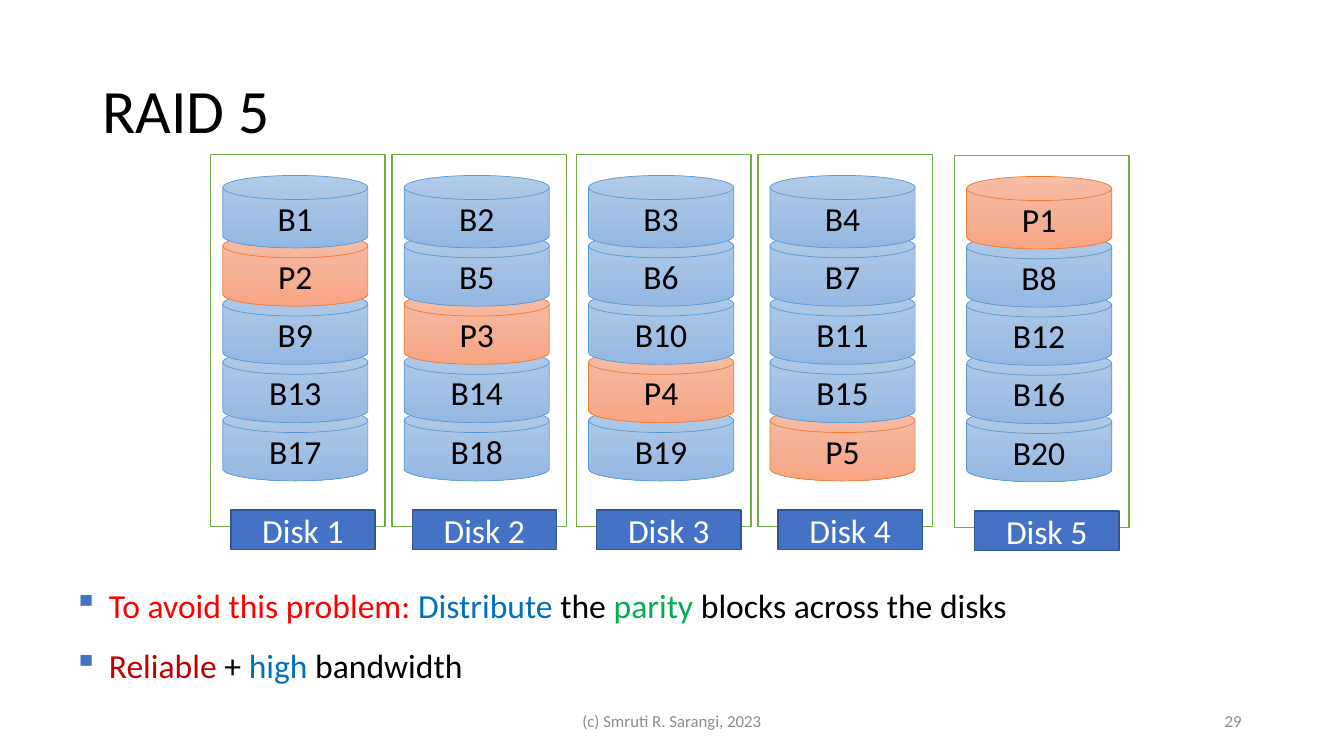
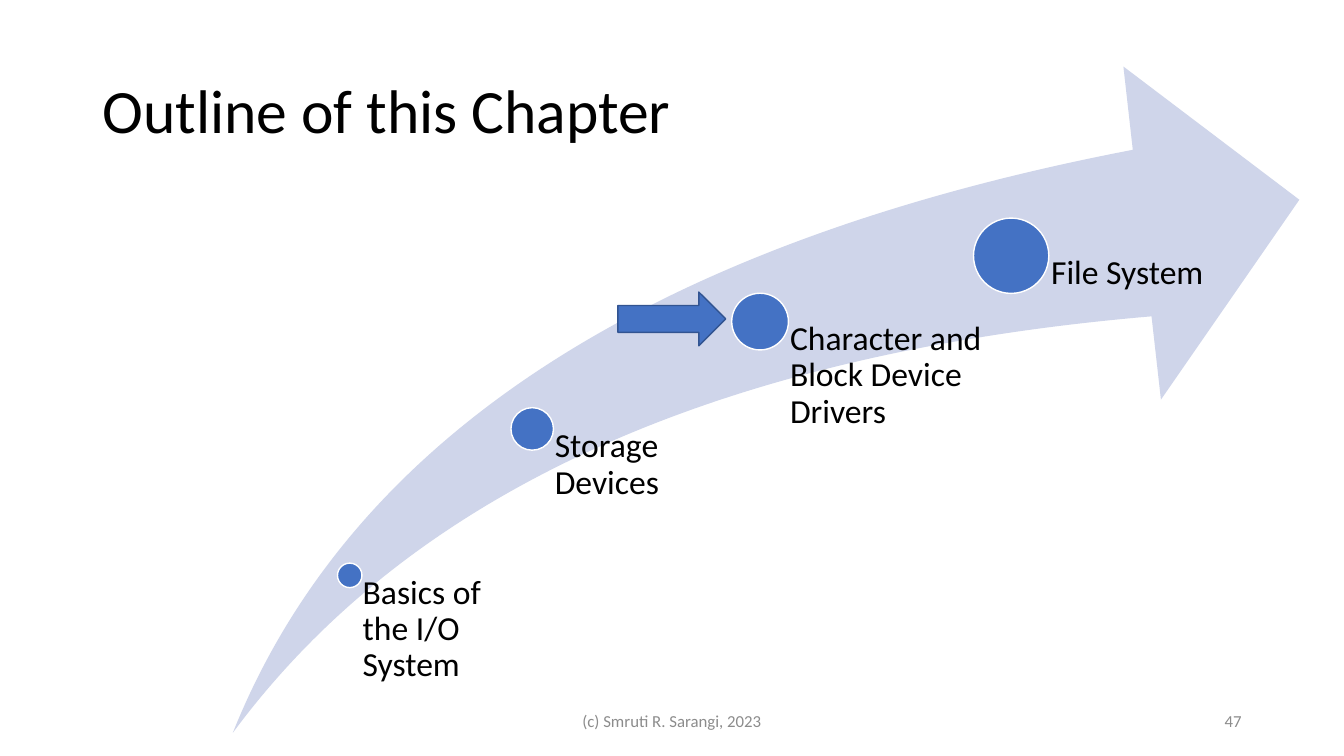
from copy import deepcopy

from lxml.etree import SubElement
from pptx import Presentation
from pptx.dml.color import RGBColor
from pptx.enum.shapes import MSO_SHAPE
from pptx.enum.text import MSO_ANCHOR, PP_ALIGN
from pptx.oxml.ns import qn
from pptx.util import Pt

BOX = MSO_SHAPE.FLOWCHART_PROCESS
DRUM = MSO_SHAPE.FLOWCHART_MAGNETIC_DISK
DOT = MSO_SHAPE.OVAL
ARROW = MSO_SHAPE.RIGHT_ARROW
SWOOSH = MSO_SHAPE.SWOOSH_ARROW
LEFT, MID, RIGHT = PP_ALIGN.LEFT, PP_ALIGN.CENTER, PP_ALIGN.RIGHT
TOP, CENTER = MSO_ANCHOR.TOP, MSO_ANCHOR.MIDDLE

FONT = "Calibri"
BLACK, WHITE, GRAY = "000000", "FFFFFF", "8C8C8C"
BLUE, NAVY, GREEN, PALE = "4472C4", "325491", "70AD47", "CFD5EA"
DATA = ("B1CBE9", "A3C1E5", "93B9E4"), "5B9BD5"
PARITY = ("F7BDA5", "F5B196", "F8A582"), "ED7D31"
CREDIT = "(c) Smruti R. Sarangi, 2023"


def paint(value):
    return RGBColor.from_string(value)


class Deck:
    def __init__(self):
        self.show = Presentation()
        self.show.slide_width, self.show.slide_height = Pt(960), Pt(540)

    def page(self, title, number):
        self.slide = self.show.slides.add_slide(self.show.slide_layouts[5])
        head = self.slide.shapes.title
        head.left, head.top, head.width, head.height = Pt(66), Pt(28.8), Pt(828), Pt(104.4)
        frame = head.text_frame
        frame.word_wrap = True
        frame.vertical_anchor = CENTER
        self.words(frame.paragraphs[0], [(title, BLACK)], 44, LEFT, 0.9)
        self.label((318, 500.5, 324, 28.8), CREDIT, 12, GRAY, MID, CENTER)
        self.label((678, 500.5, 216, 28.8), number, 12, GRAY, RIGHT, CENTER)

    def words(self, para, runs, size=24, align=LEFT, pitch=None):
        para.alignment = align
        if pitch:
            para.line_spacing = pitch
        for text, color in runs:
            run = para.add_run()
            run.text = text
            run.font.name = FONT
            run.font.size = Pt(size)
            run.font.color.rgb = paint(color)

    def frame(self, area, inset=None, anchor=TOP):
        frame = self.slide.shapes.add_textbox(*map(Pt, area)).text_frame
        frame.word_wrap = True
        frame.vertical_anchor = anchor
        if inset is not None:
            frame.margin_left = Pt(inset)
            frame.margin_top = frame.margin_right = frame.margin_bottom = 0
        return frame

    def label(self, area, text, size=24, color=BLACK, align=LEFT, anchor=TOP, inset=None, pitch=None):
        frame = self.frame(area, inset, anchor)
        self.words(frame.paragraphs[0], [(text, color)], size, align, pitch)

    def shape(self, kind, area, fill, line=None, width=1, text=None, color=BLACK):
        shape = self.slide.shapes.add_shape(kind, *map(Pt, area))
        shape.shadow.inherit = False
        if isinstance(fill, tuple):
            self.blend(shape, fill)
        else:
            shape.fill.solid()
            shape.fill.fore_color.rgb = paint(fill)
        if line:
            shape.line.color.rgb = paint(line)
            shape.line.width = Pt(width)
        else:
            shape.line.fill.background()
        if text:
            self.words(shape.text_frame.paragraphs[0], [(text, color)], align=MID)
        return shape

    def blend(self, shape, colors):
        shape.fill.gradient()
        shape.fill.gradient_angle = 270
        first = shape._element.spPr.find(".//" + qn("a:gs"))
        middle = deepcopy(first)
        middle.set("pos", "50000")
        first.addnext(middle)
        for stop, color in zip(shape.fill.gradient_stops, colors):
            stop.color.rgb = paint(color)

    def bullets(self, area, items):
        frame = self.frame(area, 0)
        for index, runs in enumerate(items):
            para = frame.add_paragraph() if index else frame.paragraphs[0]
            props = para._p.get_or_add_pPr()
            props.set("marL", str(Pt(33.8)))
            props.set("indent", str(-Pt(25.2)))
            tint = SubElement(props, qn("a:buClr"))
            SubElement(tint, qn("a:srgbClr")).set("val", BLUE)
            SubElement(props, qn("a:buChar")).set("char", "▪")
            para.space_after = Pt(14.1)
            self.words(para, runs)

    def disk(self, index, left, top):
        self.shape(BOX, (left, top, 124.6, 265.7), WHITE, GREEN)
        for row in reversed(range(5)):
            odd = (row + 4) % 5
            if index == odd:
                text, (fill, line) = f"P{row + 1}", PARITY
            else:
                text, (fill, line) = f"B{4 * row + index + (index < odd)}", DATA
            self.shape(DRUM, (left + 8.6, top + 15.1 + 41.6 * row, 103.7, 51.8), fill, line, 0.5, text)
        self.shape(BOX, (left + 14.4, top + 254.2, 103, 28), BLUE, NAVY, 1, f"Disk {index + 1}", WHITE)

    def step(self, x, y, size, width, text):
        self.shape(DOT, (x - size / 2, y - size / 2, size, size), BLUE, WHITE)
        self.label((x, y, width, 524 - y), text, inset=0.53 * size, pitch=0.9)


def main():
    deck = Deck()

    deck.page("RAID 5", "29")
    places = [(150.5, 110.2), (280.1, 110.2), (411.8, 110.2), (541.4, 110.2), (681.8, 110.9)]
    for index, (left, top) in enumerate(places):
        deck.disk(index, left, top)
    deck.bullets((44, 417.6, 706.3, 76.3), [
        [("To avoid this problem: ", "FF0000"), ("Distribute", "0070C0"), (" the ", BLACK),
         ("parity", "00B050"), (" blocks across the disks", BLACK)],
        [("Reliable", "C00000"), (" + ", BLACK), ("high", "0070C0"), (" bandwidth", BLACK)],
    ])

    deck.page("Outline of this Chapter", "47")
    swoosh = deck.shape(SWOOSH, (166.3, 47.5, 761.8, 475.9), PALE)
    swoosh.adjustments[0] = swoosh.adjustments[1] = 0.25
    for step in [
        (249.8, 411, 17.5, 126, "Basics of the I/O System"),
        (380.2, 306.4, 30.4, 160, "Storage Devices"),
        (542.9, 229.7, 40.5, 160, "Character and Block Device Drivers"),
        (722.3, 182.7, 53.8, 160, "File System"),
    ]:
        deck.step(*step)
    deck.shape(ARROW, (441.4, 208.6, 77, 38.4), BLUE, NAVY)

    deck.show.save("out.pptx")


if __name__ == "__main__":
    main()
